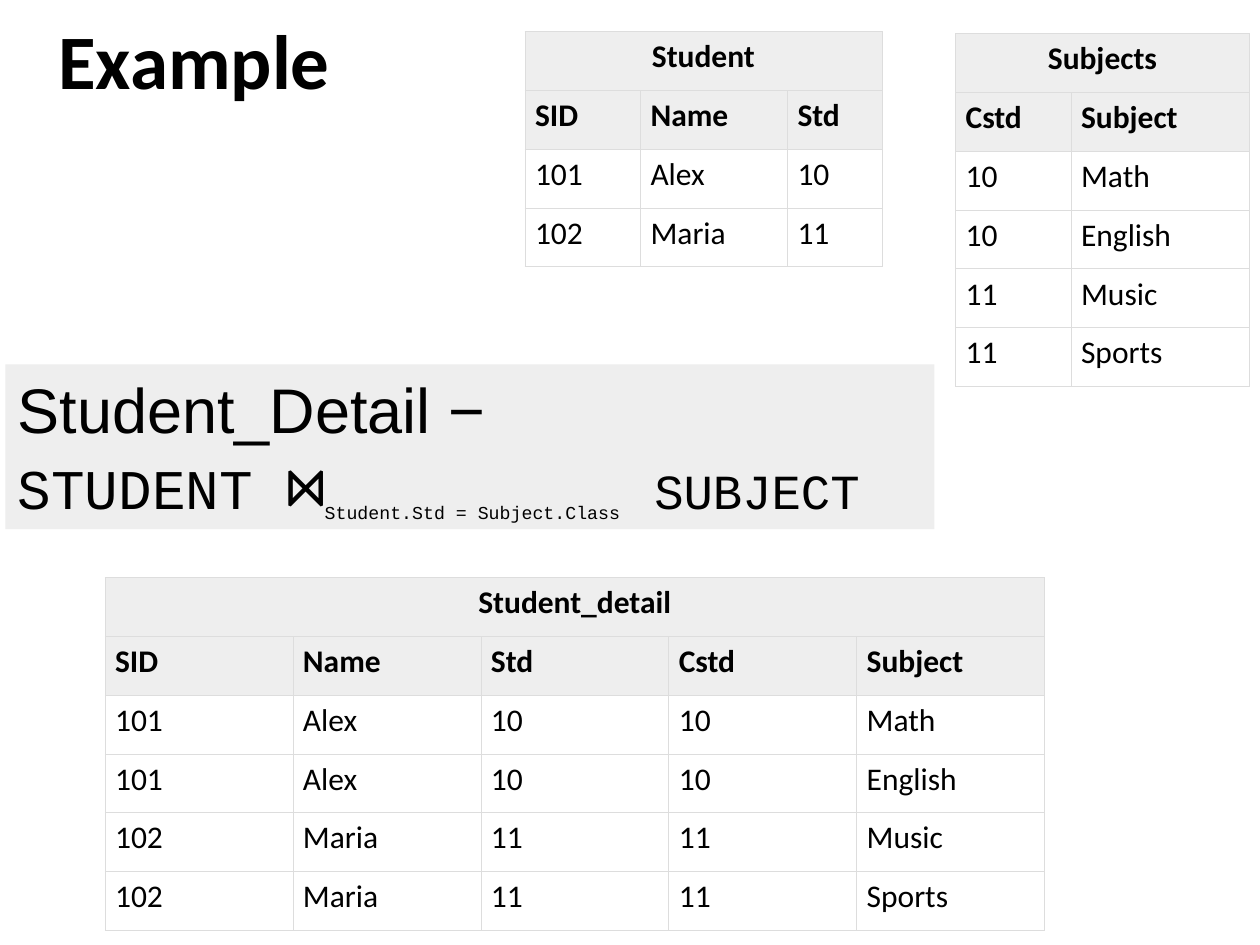
from dataclasses import dataclass

from lxml.etree import SubElement
from pptx import Presentation
from pptx.dml.color import RGBColor as RGB
from pptx.enum.shapes import MSO_SHAPE as Shape
from pptx.enum.text import MSO_ANCHOR as Anchor, PP_ALIGN as Align
from pptx.oxml.ns import qn
from pptx.util import Inches, Pt


@dataclass(frozen=True)
class Theme:
    ink: RGB = RGB.from_string("000000")
    shade: RGB = RGB.from_string("EEEEEE")
    rule: str = "DDDDDD"
    rule_pt: float = 0.34
    body: str = "Calibri"
    sans: str = "Arial"
    mono: str = "Courier New"
    title_pt: int = 44
    cell_pt: int = 18
    head_pt: int = 36
    name_pt: int = 32
    last_pt: int = 28
    sub_pt: int = 18


THEME = Theme()
COLS, ROWS = 120, 90  # grid squares across and down the slide
ROW = 5.6  # height of a table row, in squares


def grid(*units):
    return [Inches(n / 12) for n in units]


def style(font, name, size, bold=False):
    font.name, font.size, font.bold = name, Pt(size), bold
    font.color.rgb = THEME.ink


def add_title(slide, text, box):
    title = slide.shapes.title
    title.left, title.top, title.width, title.height = grid(*box)
    frame = title.text_frame
    frame.text = text
    frame.vertical_anchor = Anchor.MIDDLE
    para = frame.paragraphs[0]
    para.alignment = Align.CENTER
    style(para.font, THEME.body, THEME.title_pt, True)


def rule_cell(cell):
    props = cell._tc.get_or_add_tcPr()
    for side in ("lnL", "lnR", "lnT", "lnB"):
        line = SubElement(props, qn(f"a:{side}"), w=str(Pt(THEME.rule_pt)))
        fill = SubElement(line, qn("a:solidFill"))
        SubElement(fill, qn("a:srgbClr"), val=THEME.rule)


def format_cell(cell, text, head, align):
    rule_cell(cell)
    if head:
        cell.fill.solid()
        cell.fill.fore_color.rgb = THEME.shade
    else:
        cell.fill.background()
    cell.margin_left = cell.margin_right = Inches(0.08)
    cell.margin_top = cell.margin_bottom = Inches(0.05)
    para = cell.text_frame.paragraphs[0]
    para.text, para.alignment = text, align
    style(para.font, THEME.body, THEME.cell_pt, head)


def add_relation(slide, name, rows, left, top, widths):
    """Add a table with its name merged over a header row and data rows."""
    lines = [[name] + [""] * (len(widths) - 1)] + [row.split() for row in rows]
    size = grid(left, top, sum(widths), ROW * len(lines))
    table = slide.shapes.add_table(len(lines), len(widths), *size).table
    table.first_row = table.horz_banding = False
    for col, width in zip(table.columns, grid(*widths)):
        col.width = width
    for r, line in enumerate(lines):
        table.rows[r].height = grid(ROW)[0]
        for c, text in enumerate(line):
            align = Align.LEFT if r else Align.CENTER
            format_cell(table.cell(r, c), text, r < 2, align)
    table.cell(0, 0).merge(table.cell(0, len(widths) - 1))


def add_join(slide, head, parts, box):
    """Add the shaded panel; parts are (text, size, baseline percent)."""
    panel = slide.shapes.add_shape(Shape.RECTANGLE, *grid(*box))
    panel.shadow.inherit = False
    panel.fill.solid()
    panel.fill.fore_color.rgb = THEME.shade
    panel.line.fill.background()
    frame = panel.text_frame
    frame.word_wrap = True
    frame.vertical_anchor = Anchor.MIDDLE
    first, second = frame.paragraphs[0], frame.add_paragraph()
    first.alignment = second.alignment = Align.LEFT
    first.text = head
    style(first.font, THEME.sans, THEME.head_pt)
    for text, size, base in parts:
        run = second.add_run()
        run.text = text
        style(run.font, THEME.mono, size)
        if base:
            run._r.get_or_add_rPr().set("baseline", str(base * 1000))


def main():
    deck = Presentation()
    deck.slide_width, deck.slide_height = grid(COLS, ROWS)
    slide = deck.slides.add_slide(deck.slide_layouts[5])
    add_title(slide, "Example", (0, 0.2, 37, 10.8))
    add_relation(slide, "Student",
                 ["SID Name Std", "101 Alex 10", "102 Maria 11"],
                 50, 3, (11, 14, 9))
    add_relation(slide, "Subjects",
                 ["Cstd Subject", "10 Math", "10 English", "11 Music", "11 Sports"],
                 91, 3.2, (11, 17))
    add_join(slide, "Student_Detail −",
             [("STUDENT ", THEME.name_pt, 0),
              ("⋈", THEME.head_pt, 0),
              ("Student.Std = Subject.Class", THEME.sub_pt, -30),
              (" ", THEME.name_pt, 0),
              ("SUBJECT", THEME.last_pt, 0)],
             (0.5, 34.7, 88.5, 15.7))
    add_relation(slide, "Student_detail",
                 ["SID Name Std Cstd Subject",
                  "101 Alex 10 10 Math", "101 Alex 10 10 English",
                  "102 Maria 11 11 Music", "102 Maria 11 11 Sports"],
                 10, 55, (17.9,) * 5)
    deck.save("out.pptx")


if __name__ == "__main__":
    main()
